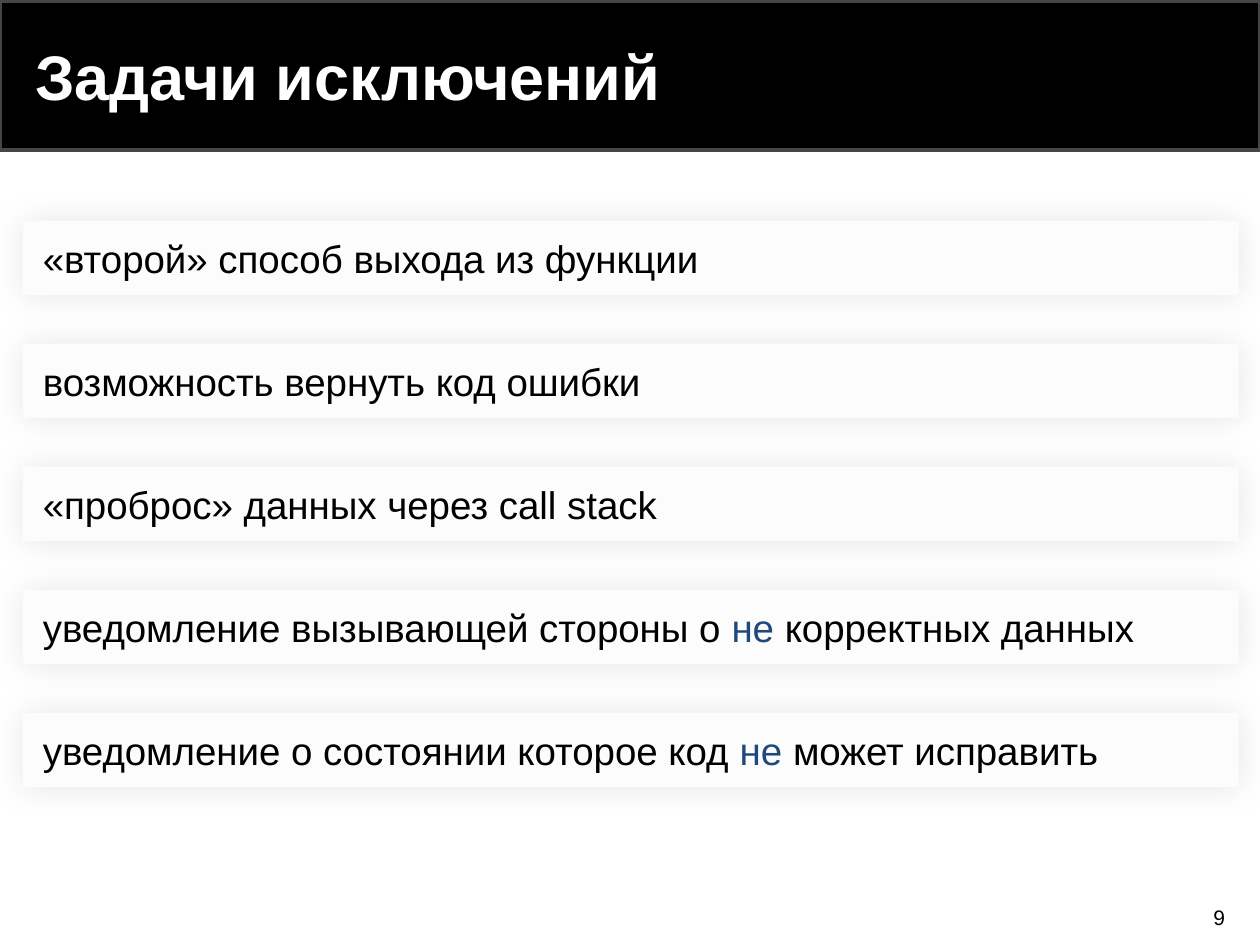
from lxml.etree import SubElement
from pptx import Presentation
from pptx.dml.color import RGBColor
from pptx.enum.shapes import MSO_SHAPE as Shape
from pptx.enum.text import MSO_ANCHOR as Anchor, PP_ALIGN as Align
from pptx.oxml.ns import qn
from pptx.util import Inches, Pt

BLACK = RGBColor(0x00, 0x00, 0x00)
WHITE = RGBColor(0xFF, 0xFF, 0xFF)
BAND_EDGE = RGBColor(0x46, 0x46, 0x46)
CARD_FILL = RGBColor(0xFC, 0xFC, 0xFC)
ACCENT = RGBColor(0x1F, 0x49, 0x7D)

MARGIN = 0.18
CARD_TOP, CARD_PITCH = 1.75, 0.977
CARD_WIDTH, CARD_HEIGHT = 9.65, 0.59

# Each task is a list of runs; the word "не" is accented
TASKS = [
    ["«второй» способ выхода из функции"],
    ["возможность вернуть код ошибки"],
    ["«проброс» данных через call stack"],
    ["уведомление вызывающей стороны о ", "не", " корректных данных"],
    ["уведомление о состоянии которое код ", "не", " может исправить"],
]


def add_run(paragraph, text, size, color, bold=False):
    run = paragraph.add_run()
    run.text = text
    run.font.name = "Arial"
    run.font.size = Pt(size)
    run.font.bold = bold
    run.font.color.rgb = color


def add_soft_shadow(shape, blur, opacity):
    shape.shadow.inherit = False
    effects = shape.element.spPr.find(qn("a:effectLst"))
    shadow = SubElement(effects, qn("a:outerShdw"), blurRad=str(Pt(blur)),
                        dist="0", dir="0", algn="ctr", rotWithShape="0")
    color = SubElement(shadow, qn("a:srgbClr"), val=str(BLACK))
    SubElement(color, qn("a:alpha"), val=str(opacity * 1000))


presentation = Presentation()
presentation.slide_width, presentation.slide_height = Inches(10), Inches(7.5)
slide = presentation.slides.add_slide(presentation.slide_layouts[5])

# Header band, placed behind the title
band = slide.shapes.add_shape(Shape.RECTANGLE, 0, Inches(0.01),
                              presentation.slide_width, Inches(1.18))
band.shadow.inherit = False
band.fill.solid()
band.fill.fore_color.rgb = BLACK
band.line.color.rgb = BAND_EDGE
band.line.width = Pt(2)
title = slide.shapes.title
title.element.addprevious(band.element)

# Title
title.left, title.top = Inches(MARGIN), Inches(0.1)
title.width, title.height = Inches(8.15), Inches(1)
title.text_frame.vertical_anchor = Anchor.MIDDLE
paragraph = title.text_frame.paragraphs[0]
paragraph.alignment = Align.LEFT
add_run(paragraph, "Задачи исключений", 36, WHITE, bold=True)

# Slide number
number = slide.shapes.add_textbox(Inches(7.54), Inches(7.13),
                                  Inches(2.28), Inches(0.3))
number.text_frame.word_wrap = True
number.text_frame.vertical_anchor = Anchor.MIDDLE
paragraph = number.text_frame.paragraphs[0]
paragraph.alignment = Align.RIGHT
add_run(paragraph, "9", 12, BLACK)

# Task cards
for row, runs in enumerate(TASKS):
    card = slide.shapes.add_shape(
        Shape.RECTANGLE, Inches(MARGIN), Inches(CARD_TOP + row * CARD_PITCH),
        Inches(CARD_WIDTH), Inches(CARD_HEIGHT))
    card.fill.solid()
    card.fill.fore_color.rgb = CARD_FILL
    card.line.fill.background()
    add_soft_shadow(card, blur=19, opacity=10)
    frame = card.text_frame
    frame.word_wrap = True
    frame.vertical_anchor = Anchor.MIDDLE
    frame.margin_left, frame.margin_right = Inches(0.16), Inches(0.08)
    frame.margin_top = frame.margin_bottom = Inches(0.04)
    paragraph = frame.paragraphs[0]
    paragraph.alignment = Align.LEFT
    paragraph.space_after = Pt(6)
    for text in runs:
        add_run(paragraph, text, 22, ACCENT if text == "не" else BLACK)

presentation.save("out.pptx")
